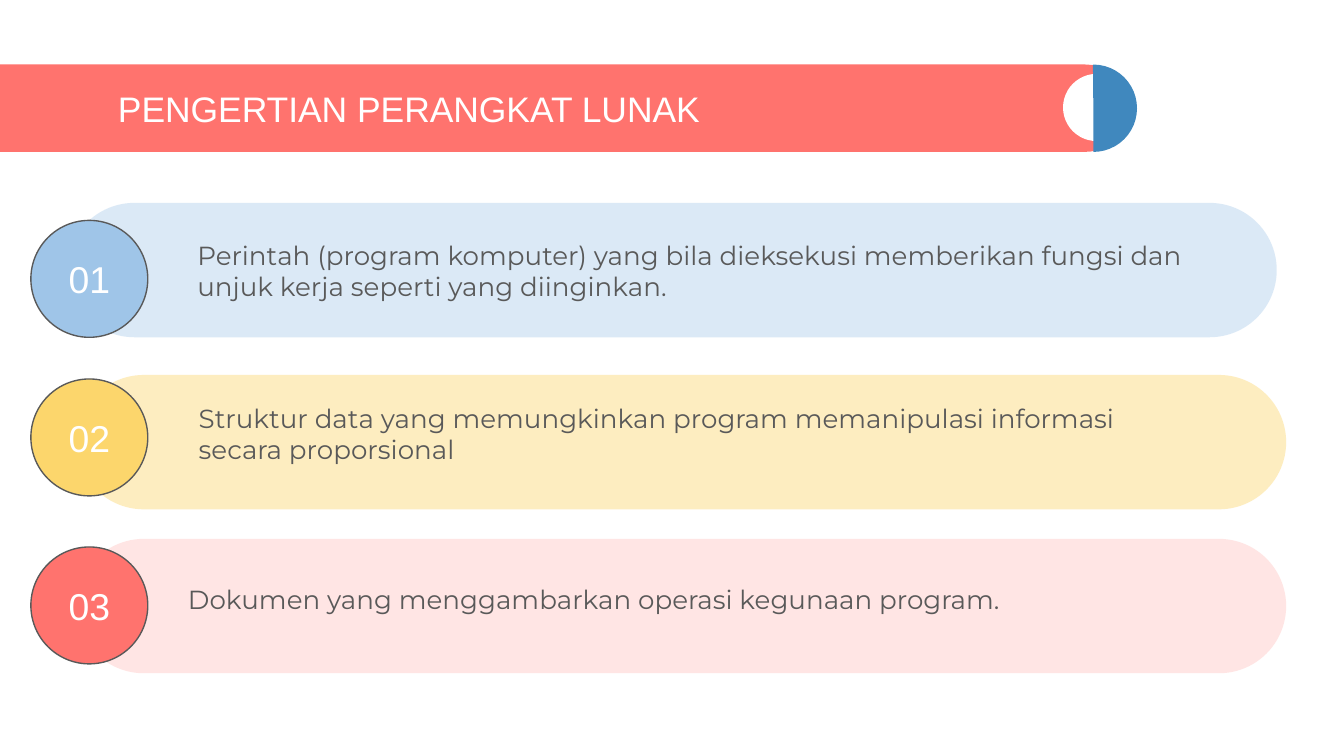
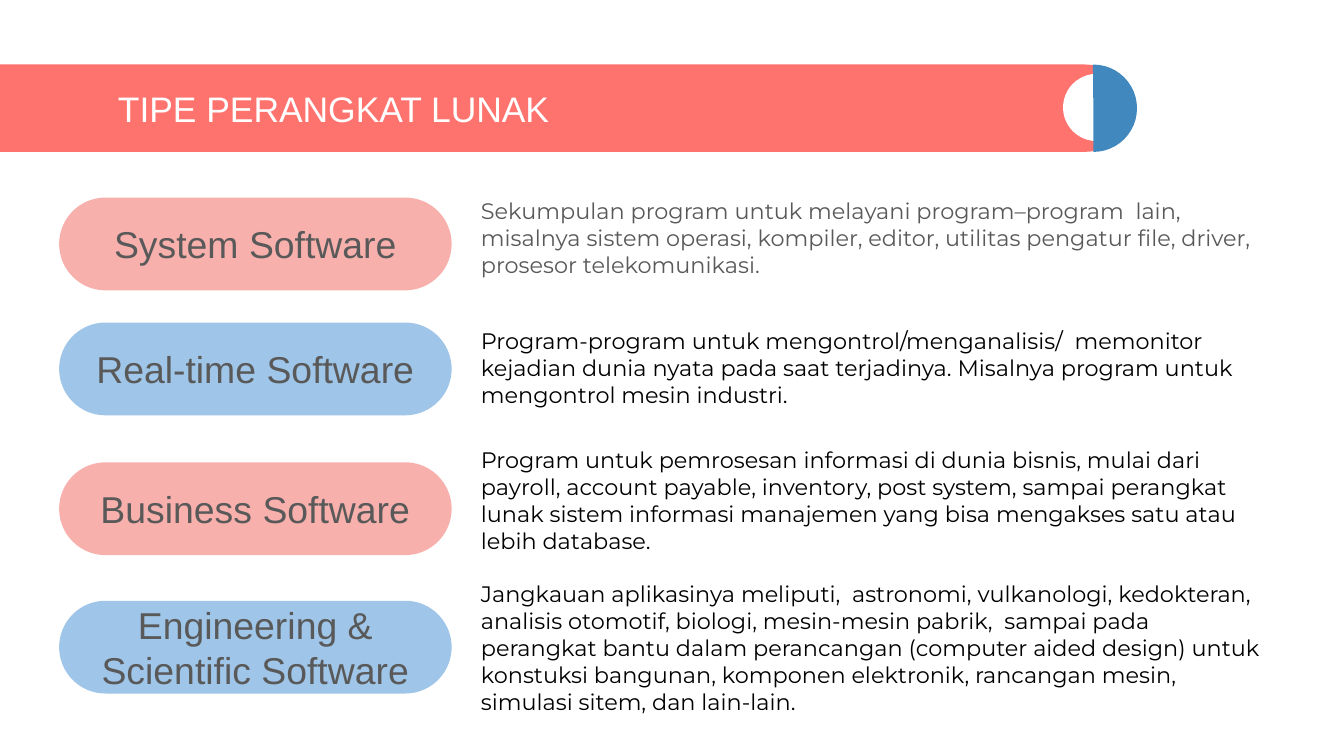
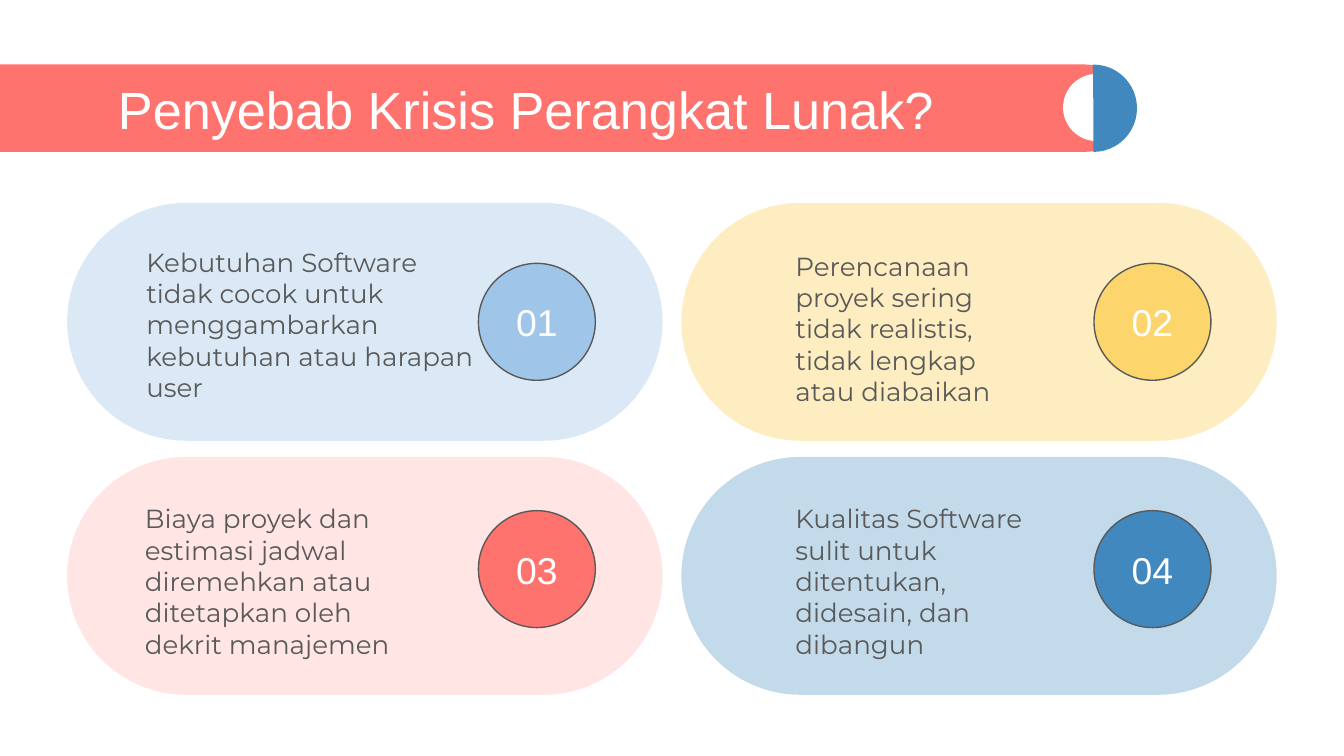
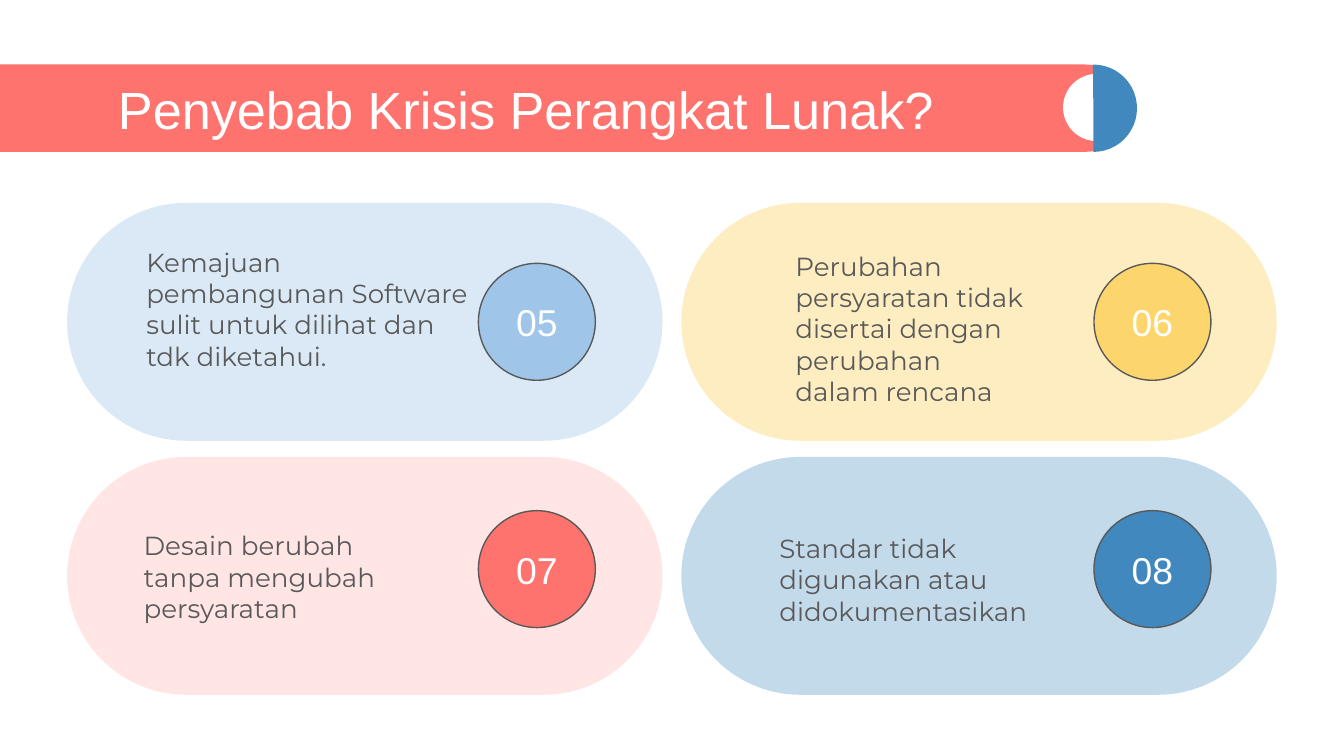
from lxml import etree
from pptx import Presentation, util as u
from pptx.dml.color import RGBColor
from pptx.enum import shapes, text
from pptx.oxml.ns import qn

EMU_PER_PX = 9144  # 100 px to the inch
INSET = 10
BADGE = 87
HEADING_FONT, BODY_FONT = "Arial", "Montserrat"
COLORS = {
    "coral": "FF736E",
    "rose": "F8B0AD",
    "sky": "9FC5E8",
    "amber": "FBBE18",
    "yellow": "FCD66C",
    "blue": "4088BE",
    "grey": "595959",
    "white": "FFFFFF",
    "black": "000000",
}
# Card tint and its opacity in percent, then the badge colour
THEMES = [
    ("sky", 37, "sky"),
    ("amber", 27, "yellow"),
    ("coral", 18, "coral"),
    ("blue", 31, "blue"),
]

DEFINITIONS = [
    # bar left, bar top, badge top, text box, statement
    (50, 151, 164, (137, 168, 762, 89),
     "Perintah (program komputer) yang bila dieksekusi memberikan fungsi dan "
     "unjuk kerja seperti yang diinginkan."),
    (57, 279, 282, (138, 289, 738, 89),
     "Struktur data yang memungkinkan program memanipulasi informasi secara "
     "proporsional"),
    (57, 401, 407, (130, 424, 827, 89),
     "Dokumen yang menggambarkan operasi kegunaan program."),
]

SOFTWARE_TYPES = [
    # pill top, pill colour, name, points before the text, text colour, text
    (147, "rose", "System Software", 0, "grey",
     "Sekumpulan program untuk melayani program–program  lain, misalnya sistem "
     "operasi, kompiler, editor, utilitas pengatur file, driver, prosesor "
     "telekomunikasi."),
    (240, "sky", "Real-time Software", 26.4, "black",
     "Program-program untuk mengontrol/menganalisis/  memonitor kejadian dunia "
     "nyata pada saat terjadinya. Misalnya program untuk mengontrol mesin "
     "industri."),
    (344, "rose", "Business Software", 20.4, "black",
     "Program untuk pemrosesan informasi di dunia bisnis, mulai dari payroll, "
     "account payable, inventory, post system, sampai perangkat lunak sistem "
     "informasi manajemen yang bisa mengakses satu atau lebih database."),
    (447, "sky", "Engineering & Scientific Software", 14.4, "black",
     "Jangkauan aplikasinya meliputi,  astronomi, vulkanologi, kedokteran, "
     "analisis otomotif, biologi, mesin-mesin pabrik,  sampai pada perangkat "
     "bantu dalam perancangan (computer aided design) untuk  konstuksi "
     "bangunan, komponen elektronik, rancangan mesin, simulasi sitem, dan "
     "lain-lain."),
]

CRISIS_CAUSES = [
    [
        ((99, 173, 267, 89),
         "Kebutuhan Software tidak cocok untuk menggambarkan kebutuhan atau "
         "harapan user"),
        ((582, 176, 194, 89),
         "Perencanaan proyek sering tidak realistis, tidak lengkap atau "
         "diabaikan"),
        ((98, 364, 208, 89),
         "Biaya proyek dan estimasi jadwal diremehkan atau ditetapkan oleh "
         "dekrit manajemen"),
        ((582, 364, 194, 89),
         "Kualitas Software sulit untuk ditentukan, didesain, dan dibangun"),
    ],
    [
        ((99, 173, 267, 89),
         "Kemajuan pembangunan Software sulit untuk dilihat dan tdk "
         "diketahui."),
        ((582, 176, 194, 89),
         "Perubahan persyaratan tidak disertai dengan perubahan dalam "
         "rencana"),
        ((97, 384, 208, 89),
         "Desain berubah tanpa mengubah persyaratan"),
        ((570, 386, 218, 89),
         "Standar tidak digunakan atau didokumentasikan"),
    ],
]


def px(*lengths):
    return [u.Emu(length * EMU_PER_PX) for length in lengths]


def rgb(color):
    return RGBColor.from_string(COLORS[color])


def add_filled(parent, kind, box, color, opacity=100):
    shape = parent.shapes.add_shape(kind, *px(*box))
    shape.shadow.inherit = False
    shape.line.fill.background()
    shape.fill.solid()
    shape.fill.fore_color.rgb = rgb(color)
    if opacity < 100:
        solid = shape._element.spPr.find(qn("a:solidFill"))
        etree.SubElement(solid[0], qn("a:alpha"), val=str(opacity * 1000))
    return shape


def add_pill(parent, box, color, opacity=100):
    pill = add_filled(parent, shapes.MSO_SHAPE.ROUNDED_RECTANGLE, box, color, opacity)
    pill.adjustments[0] = 0.5
    return pill


def set_frame(frame, anchor):
    frame.word_wrap = True
    frame.vertical_anchor = anchor
    frame.margin_left, frame.margin_top, frame.margin_right, frame.margin_bottom = (
        px(*[INSET] * 4))


def style(paragraph, wording, font, size, color):
    paragraph.text = wording
    paragraph.font.name = font
    paragraph.font.size = u.Pt(size)
    paragraph.font.color.rgb = rgb(color)


def add_label(shape, wording, color):
    """Centre a 20-point label inside a shape."""
    set_frame(shape.text_frame, text.MSO_ANCHOR.MIDDLE)
    label = shape.text_frame.paragraphs[0]
    label.alignment = text.PP_ALIGN.CENTER
    style(label, wording, HEADING_FONT, 20, color)


def add_text_box(parent, box, anchor=text.MSO_ANCHOR.TOP):
    frame = parent.shapes.add_textbox(*px(*box)).text_frame
    set_frame(frame, anchor)
    return frame


def add_statement(parent, box, wording):
    statement = add_text_box(parent, box).paragraphs[0]
    statement.space_after = u.Pt(16)
    style(statement, wording, BODY_FONT, 14, "grey")


def add_badge(parent, left, top, number, color):
    badge = add_filled(parent, shapes.MSO_SHAPE.OVAL, (left, top, BADGE, BADGE), color)
    badge.line.color.rgb = rgb("grey")
    badge.line.width = u.Pt(0.75)
    add_label(badge, f"{number:02}", "white")


def add_titled_slide(deck, title, size):
    """Add a blank slide with the coral title band and its half-circle end."""
    slide = deck.slides.add_slide(deck.slide_layouts[6])
    add_pill(slide, (-32, 48, 872, 65), "coral")
    add_filled(slide, shapes.MSO_SHAPE.OVAL, (791, 55, 50, 50), "white")
    half_circle = add_filled(slide, shapes.MSO_SHAPE.PIE, (781, 48, 65, 65), "blue")
    half_circle.rotation = 180
    half_circle.adjustments[0] = 53.67
    half_circle.adjustments[1] = 162
    heading = add_text_box(slide, (78, 60, 697, 41), text.MSO_ANCHOR.MIDDLE)
    style(heading.paragraphs[0], title, HEADING_FONT, size, "white")
    return slide


def add_definitions(deck):
    slide = add_titled_slide(deck, "PENGERTIAN PERANGKAT LUNAK", 19)
    rows = zip(DEFINITIONS, THEMES)
    for number, (definition, theme) in enumerate(rows, 1):
        bar_left, bar_top, badge_top, text_area, statement = definition
        tint, opacity, badge_color = theme
        add_pill(slide, (bar_left, bar_top, 900, 100), tint, opacity)
        add_statement(slide, text_area, statement)
        add_badge(slide, 23, badge_top, number, badge_color)


def add_software_types(deck):
    slide = add_titled_slide(deck, "TIPE PERANGKAT LUNAK", 19)
    descriptions = add_text_box(slide, (348, 137, 607, 89))
    for row, software in enumerate(SOFTWARE_TYPES):
        top, pill_color, name, gap, text_color, wording = software
        add_label(add_pill(slide, (44, top, 292, 69), pill_color), name, "grey")
        description = (descriptions.add_paragraph() if row
                       else descriptions.paragraphs[0])
        description.space_before = u.Pt(gap)
        style(description, wording, BODY_FONT, 12, text_color)


def add_crisis_causes(deck, causes, first_number):
    """Lay out four numbered causes as a two-by-two grid of cards."""
    slide = add_titled_slide(deck, "Penyebab Krisis Perangkat Lunak?", 28)
    for index, ((text_area, cause), theme) in enumerate(zip(causes, THEMES)):
        row, column = divmod(index, 2)
        tint, opacity, badge_color = theme
        card = (50 + 457 * column, 151 + 189 * row, 443, 177)
        add_pill(slide, card, tint, opacity)
        entry = slide.shapes.add_group_shape()
        add_statement(entry, text_area, cause)
        add_badge(entry, 356 + 458 * column, 196 + 184 * row,
                  first_number + index, badge_color)


def main():
    deck = Presentation()
    deck.slide_width = u.Inches(10)
    deck.slide_height = deck.slide_width * 9 // 16
    add_definitions(deck)
    add_software_types(deck)
    first_number = 1
    for causes in CRISIS_CAUSES:
        add_crisis_causes(deck, causes, first_number)
        first_number += len(causes)
    deck.save("out.pptx")


if __name__ == "__main__":
    main()
